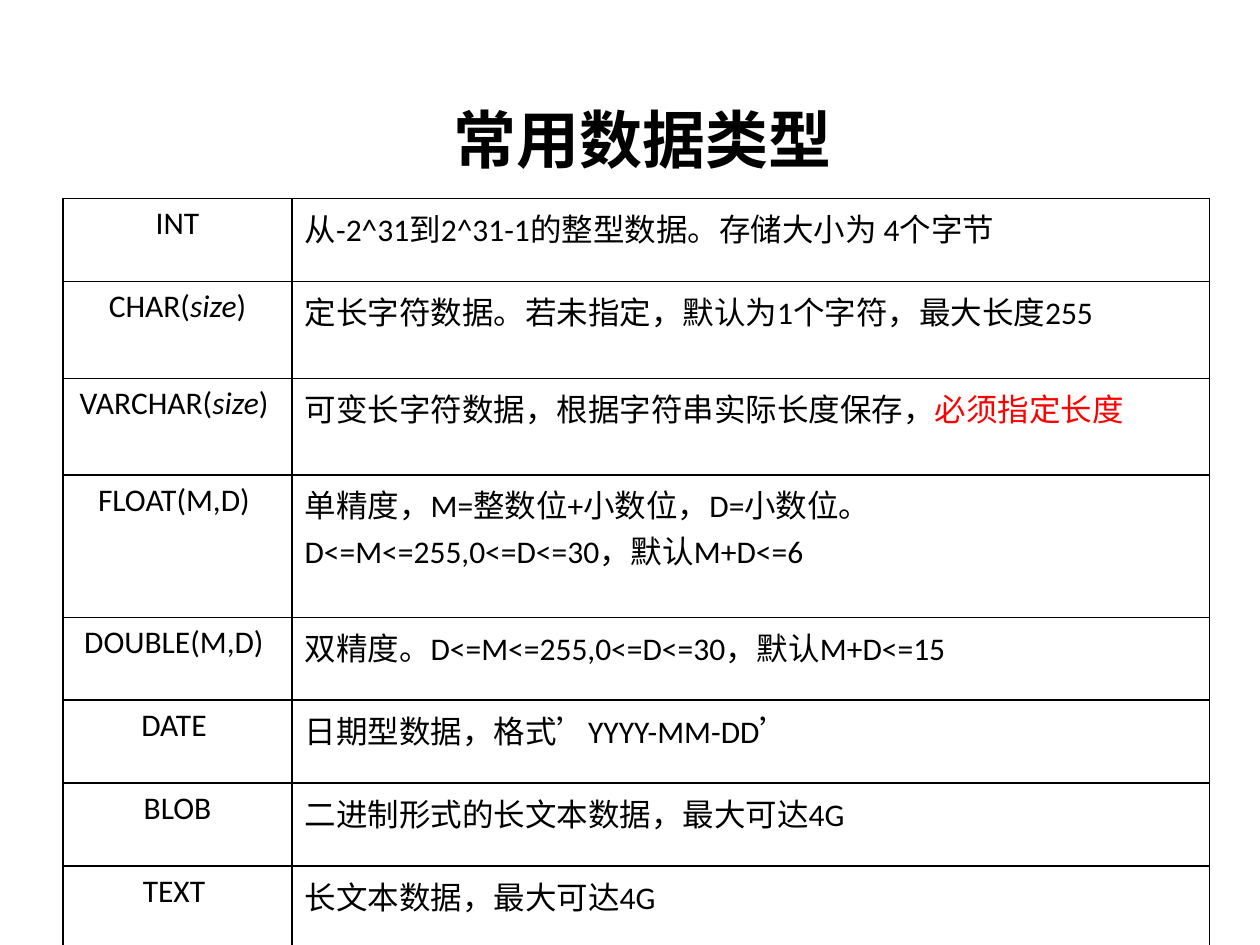
from lxml.etree import SubElement
from pptx import Presentation
from pptx.dml.color import RGBColor
from pptx.enum.lang import MSO_LANGUAGE_ID as Language
from pptx.enum.text import MSO_ANCHOR, PP_ALIGN
from pptx.oxml.ns import qn
from pptx.util import Inches, Pt

SLIDE_W, SLIDE_H = Inches(10), Inches(7.5)
LATIN, CHINESE = "Calibri", "Noto Sans CJK SC"
BLACK, RED = "000000", "FF0000"
COLUMN_WEIGHTS = (1.81, 7.25)

DATA_TYPES = [
    (0.66, ["INT"], ["从-2^31到2^31-1的整型数据。存储大小为 4个字节"]),
    (0.77, ["CHAR(", "size", ")"], ["定长字符数据。若未指定，默认为1个字符，最大长度255"]),
    (0.77, ["VARCHAR(", "size", ") "], ["可变长字符数据，根据字符串实际长度保存，", "必须指定长度"]),
    (1.13, ["FLOAT(M,D) "], ["单精度，M=整数位+小数位，D=小数位。 D<=M<=255,0<=D<=30，默认M+D<=6"]),
    (0.66, ["DOUBLE(M,D) "], ["双精度。D<=M<=255,0<=D<=30，默认M+D<=15"]),
    (0.66, ["DATE "], ["日期型数据，格式’YYYY-MM-DD’"]),
    (0.66, ["BLOB"], ["二进制形式的长文本数据，最大可达4G"]),
    (0.7, ["TEXT "], ["长文本数据，最大可达4G"]),
]


def color(hex_value):
    return RGBColor.from_string(hex_value)


def share_box(left, top, width, height):
    return (int(SLIDE_W * left), int(SLIDE_H * top),
            int(SLIDE_W * width), int(SLIDE_H * height))


def add_run(paragraph, text, size, latin=LATIN, ink=BLACK):
    run = paragraph.add_run()
    run.text = text
    run.font.size = Pt(size)
    run.font.color.rgb = color(ink)
    run.font.language_id = Language.SIMPLIFIED_CHINESE
    run.font.name = latin
    SubElement(run.font._element, qn("a:ea"), typeface=CHINESE)
    return run


def set_borders(cell, ink=BLACK, width=1):
    properties = cell._tc.get_or_add_tcPr()
    for position, edge in enumerate(("a:lnL", "a:lnR", "a:lnT", "a:lnB")):
        border = SubElement(properties, qn(edge), w=str(Pt(width)))
        fill = SubElement(border, qn("a:solidFill"))
        SubElement(fill, qn("a:srgbClr"), val=ink)
        properties.insert(position, border)


def add_title(slide, box):
    frame = slide.shapes.add_textbox(*box).text_frame
    frame.word_wrap = True
    frame.vertical_anchor = MSO_ANCHOR.TOP
    heading = frame.paragraphs[0]
    heading.alignment = PP_ALIGN.CENTER
    add_run(heading, "常用数据类型", 36, CHINESE).font.bold = True


def fill_type_name(cell, parts):
    paragraph = cell.text_frame.paragraphs[0]
    paragraph.alignment = PP_ALIGN.CENTER
    for part in parts:
        add_run(paragraph, part, 18).font.italic = part == "size"


def fill_description(cell, parts):
    paragraph = cell.text_frame.paragraphs[0]
    for part, ink in zip(parts, (BLACK, RED)):
        add_run(paragraph, part, 18, ink=ink)


def add_type_table(slide, box):
    width, height = box[2:]
    table = slide.shapes.add_table(len(DATA_TYPES), len(COLUMN_WEIGHTS), *box).table
    table.first_row = table.horz_banding = False
    for column, weight in zip(table.columns, COLUMN_WEIGHTS):
        column.width = int(width * weight / sum(COLUMN_WEIGHTS))
    total = sum(weight for weight, _, _ in DATA_TYPES)
    for row, (weight, type_name, description) in zip(table.rows, DATA_TYPES):
        row.height = int(height * weight / total)
        name_cell, description_cell = row.cells
        fill_type_name(name_cell, type_name)
        fill_description(description_cell, description)
        for cell in (name_cell, description_cell):
            cell.fill.background()
            set_borders(cell)


def main():
    presentation = Presentation()
    presentation.slide_width, presentation.slide_height = SLIDE_W, SLIDE_H
    slide = presentation.slides.add_slide(presentation.slide_layouts[6])
    add_title(slide, share_box(0.11, 0.1, 0.8, 0.13))
    add_type_table(slide, share_box(0.05, 0.21, 0.91, 0.8))
    presentation.save("out.pptx")


if __name__ == "__main__":
    main()
